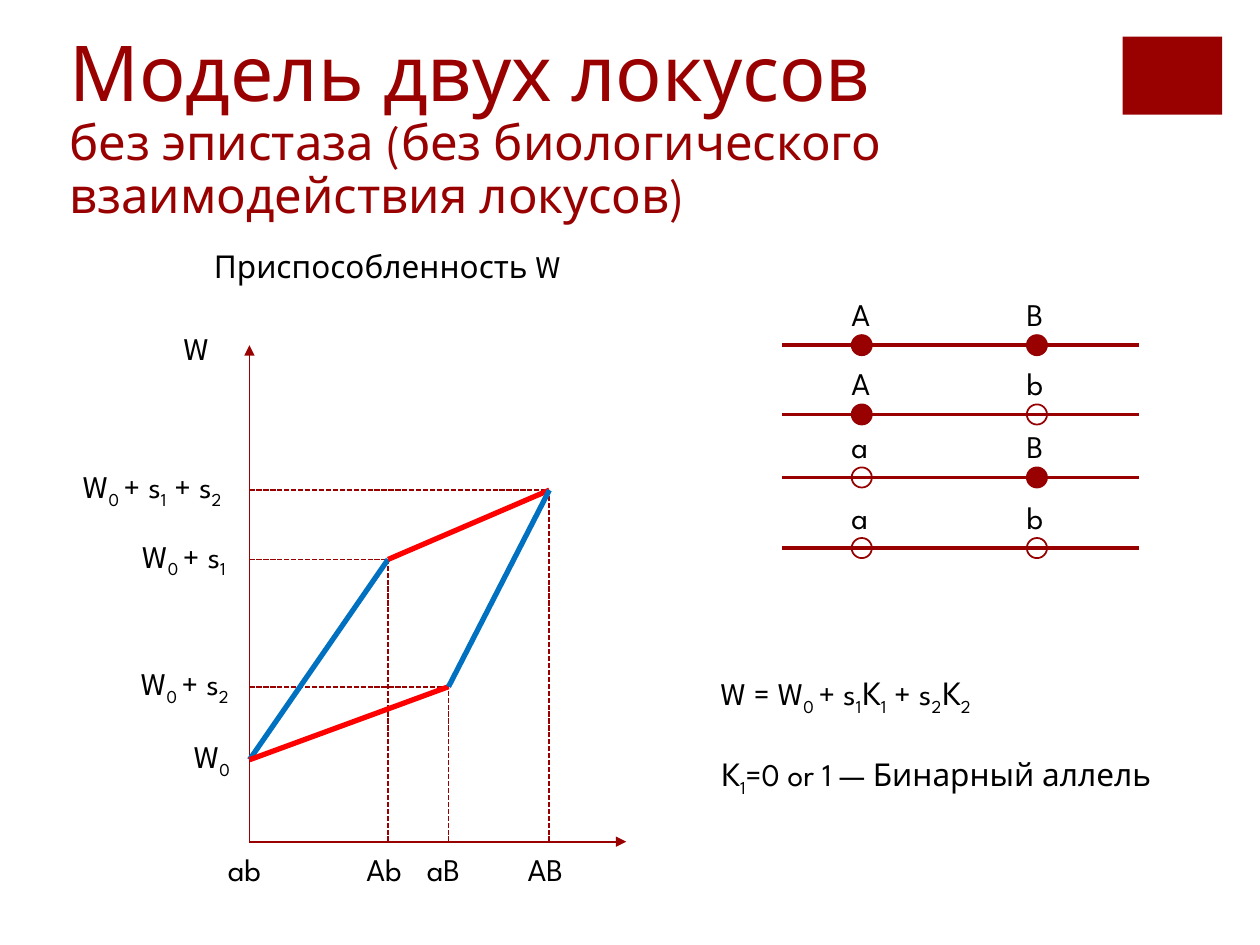
from lxml.etree import SubElement
from pptx import Presentation
from pptx.dml.color import RGBColor
from pptx.enum.dml import MSO_LINE
from pptx.enum.shapes import MSO_CONNECTOR, MSO_SHAPE
from pptx.enum.text import MSO_ANCHOR, MSO_AUTO_SIZE, PP_ALIGN
from pptx.oxml.ns import qn
from pptx.util import Inches, Pt

FONT = "League Spartan"
DARK_RED = RGBColor(0x99, 0x00, 0x00)
OUTLINE = RGBColor(0x96, 0x00, 0x00)
RED = RGBColor(0xFF, 0x00, 0x00)
BLUE = RGBColor(0x00, 0x70, 0xC0)
BLACK = RGBColor(0x00, 0x00, 0x00)

TITLE = "Модель двух локусов"
SUBTITLE = "без эпистаза (без биологического взаимодействия локусов)"
HEADINGS = [("Приспособленность W", 1.6, 1.91, 3.14), ("W", 1.36, 2.56, 0.83)]
FORMULAS = ["W = W_0 _+ s_1_К_1_ + s_2_К_2_", "К_1_=0 or 1 — Бинарный аллель"]

ORIGIN = (1.98, 6.68)
AXIS_ENDS = [(1.98, 2.74), (4.97, 6.68)]
GENOTYPES = {
    "ab": (1.98, 6.03, "W_0_", 1.44),
    "Ab": (3.08, 4.44, "W_0 _+ s_1_", 1.03),
    "aB": (3.56, 5.45, "W_0 _+ s_2_", 1.02),
    "AB": (4.36, 3.89, "W_0 _+ s_1_ + s_2_", 0.56),
}
EFFECTS = [("ab", "Ab", BLUE), ("Ab", "AB", RED), ("ab", "aB", RED), ("aB", "AB", BLUE)]

CHROMOSOMES = [("AB", 2.74), ("Ab", 3.29), ("aB", 3.79), ("ab", 4.35)]
CHROMOSOME_X = (6.21, 9.04)
LOCUS_X = (6.84, 8.23)
DOT = 0.16


def write(p, text, size=18, color=BLACK):
    """Add text to a paragraph, lowering the parts between underscores."""
    for i, part in enumerate(text.split("_")):
        if part:
            r = p.add_run()
            r.text = part
            r.font.name = FONT
            r.font.size = Pt(size)
            r.font.color.rgb = color
            if i % 2:
                r.font._element.set("baseline", "-25000")


def add_text(s, lines, x, y, w, h=0.4, gap=0):
    """Place a text box with one paragraph per line."""
    tf = s.shapes.add_textbox(Inches(x), Inches(y), Inches(w), Inches(h)).text_frame
    tf.word_wrap = True
    for i, line in enumerate(lines):
        p = tf.add_paragraph() if i else tf.paragraphs[0]
        if i:
            p.space_before = Pt(gap)
        write(p, line)


def add_line(s, start, end, color=DARK_RED, width=1, dashed=False, arrow=False):
    """Draw a straight line between two points."""
    c = s.shapes.add_connector(MSO_CONNECTOR.STRAIGHT, *map(Inches, start + end))
    c.line.color.rgb = color
    c.line.width = Pt(width)
    if dashed:
        c.line.dash_style = MSO_LINE.SQUARE_DOT
    if arrow:
        SubElement(c.line._get_or_add_ln(), qn("a:tailEnd"), type="triangle")
    SubElement(c._element.spPr, qn("a:effectLst"))


def add_shape(s, kind, x, y, w, h, filled=True, outlined=True):
    """Draw a preset shape in the dark red style."""
    sp = s.shapes.add_shape(kind, Inches(x), Inches(y), Inches(w), Inches(h))
    sp.shadow.inherit = False
    if filled:
        sp.fill.solid()
        sp.fill.fore_color.rgb = DARK_RED
    else:
        sp.fill.background()
    if outlined:
        sp.line.color.rgb = OUTLINE
        sp.line.width = Pt(1)
    else:
        sp.line.fill.background()


def add_title(s):
    """Fill the title placeholder with the title and subtitle."""
    sp = s.shapes.title
    sp.left, sp.top, sp.width, sp.height = map(Inches, (0.45, 0.58, 7.51, 1.25))
    tf = sp.text_frame
    tf.word_wrap = True
    tf.auto_size = MSO_AUTO_SIZE.NONE
    tf.vertical_anchor = MSO_ANCHOR.BOTTOM
    p = tf.paragraphs[0]
    p.alignment = PP_ALIGN.LEFT
    p.line_spacing = 0.9
    write(p, TITLE, size=44, color=DARK_RED)
    p.add_line_break()
    write(p, SUBTITLE, size=28, color=DARK_RED)


def add_graph(s):
    """Draw the fitness of the four genotypes."""
    for end in AXIS_ENDS:
        add_line(s, ORIGIN, end, arrow=True)
    for name, (x, y, fitness, left) in GENOTYPES.items():
        if x > ORIGIN[0]:
            add_line(s, (ORIGIN[0], y), (x, y), dashed=True)
            add_line(s, (x, ORIGIN[1]), (x, y), dashed=True)
        add_text(s, [name], x - 0.27, 6.7, 0.6)
        add_text(s, [fitness], left, y - 0.23, 1.48)
    for start, end, color in EFFECTS:
        add_line(s, GENOTYPES[start][:2], GENOTYPES[end][:2], color, width=3)


def add_chromosomes(s):
    """Draw each chromosome with its two loci."""
    for alleles, y in CHROMOSOMES:
        add_line(s, (CHROMOSOME_X[0], y), (CHROMOSOME_X[1], y), width=2)
        for allele, x in zip(alleles, LOCUS_X):
            add_shape(s, MSO_SHAPE.OVAL, x - DOT / 2, y - DOT / 2, DOT, DOT,
                      filled=allele.isupper())
            add_text(s, [allele], x - 0.18, y - 0.45, 0.46)


def main():
    """Build the slide and save it."""
    prs = Presentation()
    prs.slide_width, prs.slide_height = Inches(10), Inches(7.5)
    s = prs.slides.add_slide(prs.slide_layouts[5])
    add_shape(s, MSO_SHAPE.RECTANGLE, 8.91, 0.29, 0.79, 0.62, outlined=False)
    add_title(s)
    for text, x, y, w in HEADINGS:
        add_text(s, [text], x, y, w)
    add_graph(s)
    add_chromosomes(s)
    add_text(s, FORMULAS, 5.62, 5.3, 4.01, h=1.01, gap=22)
    prs.save("out.pptx")


if __name__ == "__main__":
    main()
